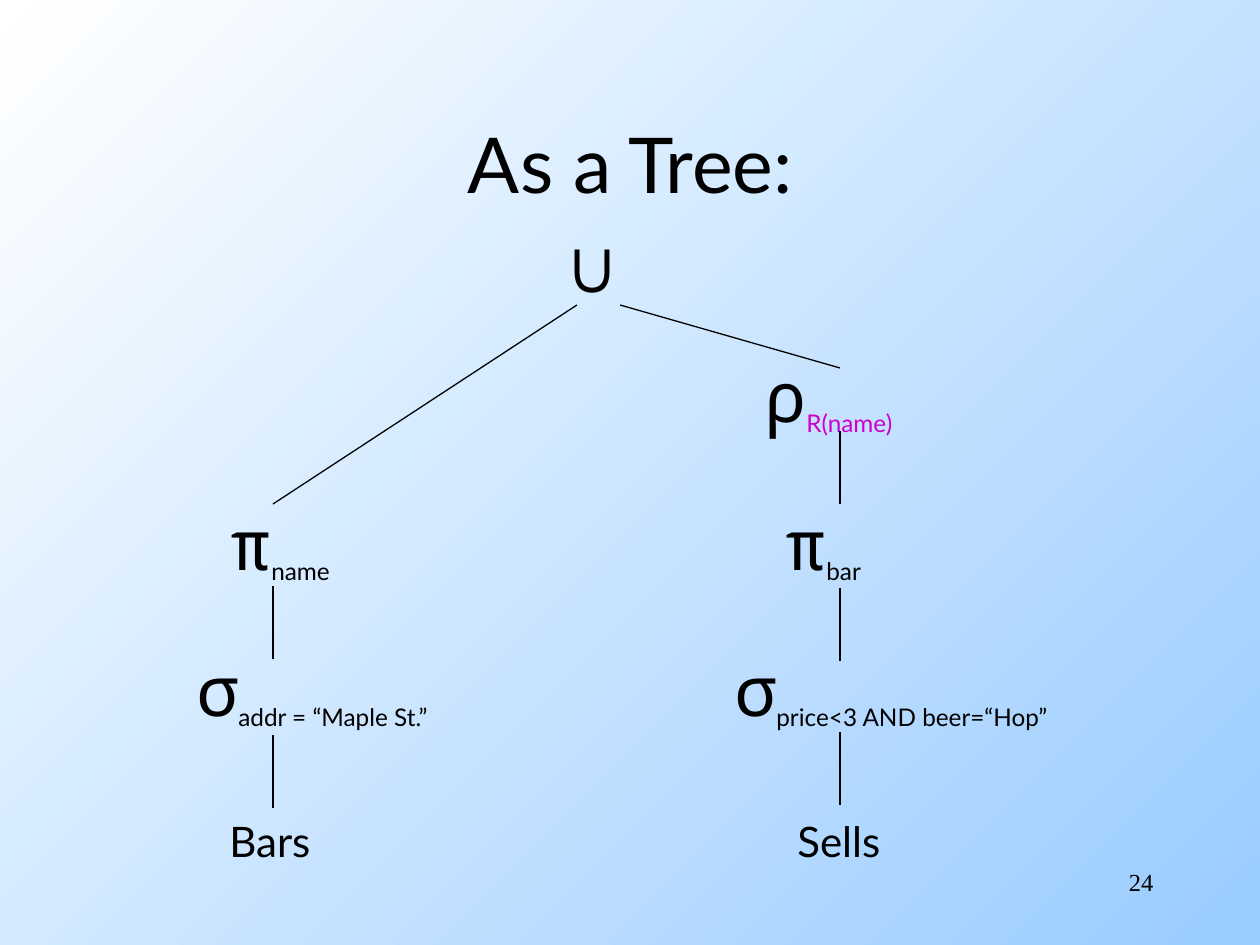
from lxml.etree import SubElement
from pptx import Presentation
from pptx.dml.color import RGBColor
from pptx.enum.shapes import MSO_CONNECTOR as Link
from pptx.enum.text import MSO_ANCHOR as Anchor, MSO_AUTO_SIZE as Fit, PP_ALIGN as Align
from pptx.oxml.ns import qn
from pptx.util import Pt

SCALE = 914400 / 126
BLACK, PINK = "000000", "CC00CC"
SANS, MONO, SERIF = "Lato", "Noto Sans Mono", "Times New Roman"
LEFT, RIGHT = 273, 840

NODES = [
    ("∪", "", (559, 220, 76, 181), BLACK),
    ("ρ", "R(name)", (752, 346, 162, 98), PINK),
    ("π", "name", (217, 494, 136, 98), BLACK),
    ("π", "bar", (772, 494, 110, 98), BLACK),
    ("σ", "addr = “Maple St.”", (184, 640, 272, 98), BLACK),
    ("σ", "price<3 AND beer=“Hop”", (722, 640, 346, 98), BLACK),
]
LEAVES = [("Bars", 217), ("Sells", 785)]
FORKS = [(577, 305, LEFT, 504), (620, 305, RIGHT, 368)]
STEMS = [(LEFT, 586), (LEFT, 735), (RIGHT, 431), (RIGHT, 588), (RIGHT, 732)]
STEM = 73


def px(n):
    return round(n * SCALE)


def paint(code):
    return RGBColor.from_string(code)


def write(para, text, font=SANS, size=24, color=BLACK, sub=False):
    run = para.add_run()
    run.text = text
    run.font.name = font
    run.font.size = Pt(size)
    run.font.color.rgb = paint(color)
    if sub:
        run._r.get_or_add_rPr().set("baseline", "-25000")


def label(area, text, wrap=False, align=Align.LEFT, anchor=Anchor.TOP, **style):
    frame = slide.shapes.add_textbox(*map(px, area)).text_frame
    frame.word_wrap = wrap
    frame.auto_size = Fit.NONE if wrap else Fit.SHAPE_TO_FIT_TEXT
    frame.vertical_anchor = anchor
    para = frame.paragraphs[0]
    para.alignment = align
    write(para, text, **style)
    return para


def edge(*ends):
    line = slide.shapes.add_connector(Link.STRAIGHT, *map(px, ends))
    line.line.color.rgb = paint(BLACK)
    line.line.width = Pt(0.75)
    SubElement(line._element.spPr, qn("a:effectLst"))


deck = Presentation()
deck.slide_width, deck.slide_height = px(1260), px(945)
slide = deck.slides.add_slide(deck.slide_layouts[6])

fill = slide.background.fill
fill.gradient()
fill.gradient_angle = 135
for stop, code in zip(fill.gradient_stops, ("99CCFF", "FFFFFF")):
    stop.color.rgb = paint(code)

label((904, 861, 262, 63), "24", wrap=True, align=Align.RIGHT, font=SERIF, size=14)
label((95, 84, 1071, 158), "As a Tree:", wrap=True, align=Align.CENTER,
      anchor=Anchor.MIDDLE, size=44)

for sign, sub, area, color in NODES:
    para = label(area, sign, font=MONO, size=40)
    if sub:
        write(para, sub, color=color, sub=True)
for name, x in LEAVES:
    label((x, 809, 113, 63), name)

for fork in FORKS:
    edge(*fork)
for x, y in STEMS:
    edge(x, y, x, y + STEM)

deck.save("out.pptx")
